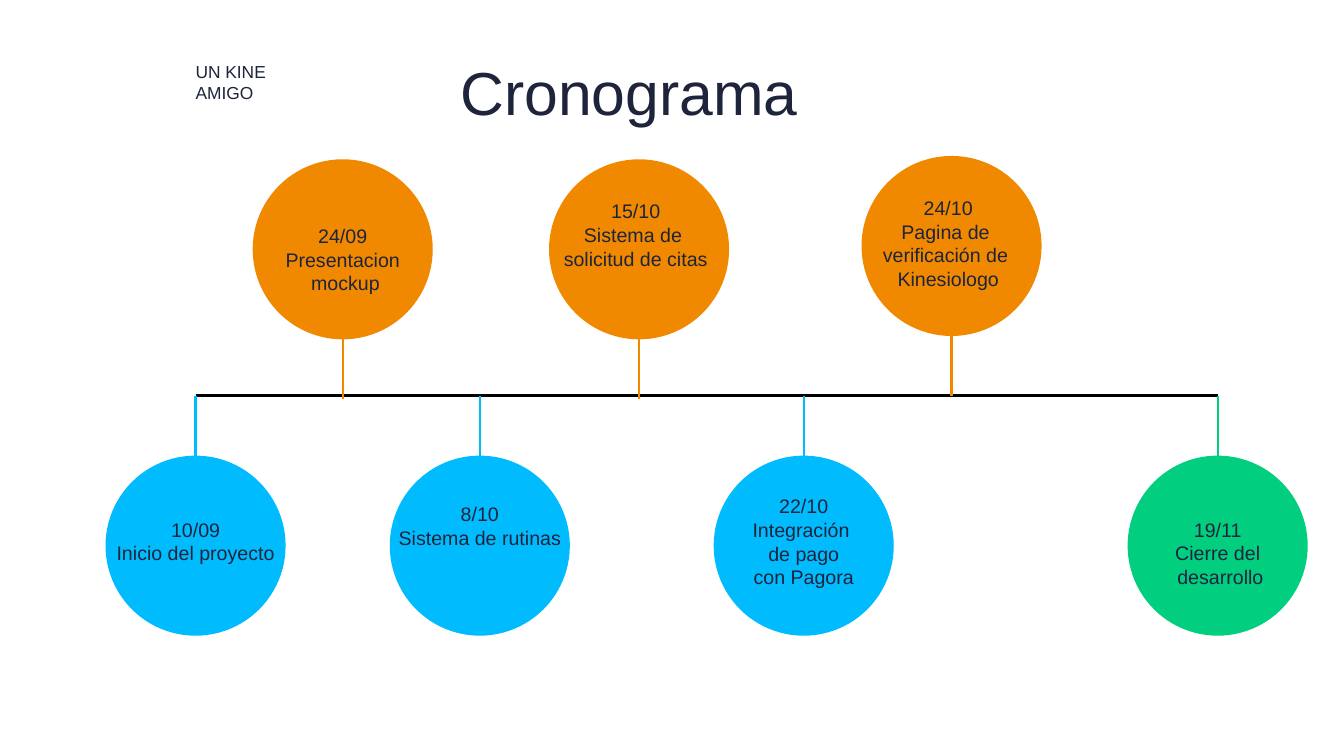
"""Build the project schedule slide: a time axis with milestones on both sides."""
from dataclasses import dataclass

from lxml.etree import SubElement
from pptx import Presentation
from pptx.dml.color import RGBColor
from pptx.enum.shapes import MSO_CONNECTOR, MSO_SHAPE
from pptx.enum.text import MSO_ANCHOR, MSO_AUTO_SIZE, PP_ALIGN
from pptx.oxml.ns import qn
from pptx.slide import Slide
from pptx.text.text import TextFrame
from pptx.util import Inches, Pt

INK = RGBColor(0x1D, 0x24, 0x3B)
BLACK = RGBColor(0x00, 0x00, 0x00)
ORANGE = RGBColor(0xF1, 0x89, 0x00)
BLUE = RGBColor(0x00, 0xBC, 0xFF)
GREEN = RGBColor(0x01, 0xCF, 0x7F)

COLUMNS, ROWS = 20, 11.25
WIDTH, HEIGHT = Inches(20), Inches(11.25)
AXIS_ROW = 5.89
AXIS_START, AXIS_END = 2.91, 18.12
DIAMETER = 2.68
STEM = 0.89
ABOVE, BELOW = -1, 1


@dataclass(frozen=True)
class Milestone:
    """A dated circle hanging from the axis, with its label's place."""

    lines: tuple[str, ...]
    column: float
    side: int
    color: RGBColor
    label_row: float
    label_width: float
    label_shift: float = 0
    foot_row: float = AXIS_ROW


MILESTONES = (
    Milestone(("10/09", "Inicio del proyecto"), AXIS_START, BELOW, BLUE, 7.7, 2.55),
    Milestone(("24/09", "Presentacion", " mockup"), 5.1, ABOVE, ORANGE, 3.33, 1.78,
              foot_row=5.94),
    Milestone(("8/10", "Sistema de rutinas"), 7.14, BELOW, BLUE, 7.47, 2.58),
    Milestone(("15/10", "Sistema de ", "solicitud de citas"), 9.51, ABOVE, ORANGE,
              2.96, 2.3, label_shift=-0.05, foot_row=5.94),
    Milestone(("22/10", "Integración ", "de pago", "con Pagora"), 11.96, BELOW, BLUE,
              7.35, 1.67),
    Milestone(("24/10", "Pagina de ", "verificación de ", "Kinesiologo"), 14.16, ABOVE,
              ORANGE, 2.91, 2.09, label_shift=-0.05),
    Milestone(("19/11", "Cierre del", " desarrollo"), AXIS_END, BELOW, GREEN, 7.7, 1.48),
)


def x(columns: float) -> int:
    """Turn grid columns into a length."""
    return round(WIDTH * columns / COLUMNS)


def y(rows: float) -> int:
    """Turn grid rows into a length."""
    return round(HEIGHT * rows / ROWS)


def write(frame: TextFrame, lines: tuple[str, ...], size: float, leading: float,
          align: PP_ALIGN = PP_ALIGN.LEFT) -> None:
    """Fill a frame with one paragraph per line."""
    frame.margin_left = frame.margin_right = frame.margin_top = frame.margin_bottom = 0
    frame.auto_size = MSO_AUTO_SIZE.NONE
    frame.vertical_anchor = MSO_ANCHOR.TOP
    frame.word_wrap = True
    frame.text = "\n".join(lines)
    for paragraph in frame.paragraphs:
        paragraph.alignment = align
        paragraph.line_spacing = Pt(leading)
        paragraph.space_before = Pt(0)
        paragraph.font.name = "Arial"
        paragraph.font.size = Pt(size)
        paragraph.font.color.rgb = INK


def add_text(slide: Slide, column: float, row: float, width: float, lines: tuple[str, ...],
             size: float, leading: float, align: PP_ALIGN = PP_ALIGN.LEFT) -> None:
    """Add a text box as tall as its lines."""
    height = Pt(leading) * len(lines)
    box = slide.shapes.add_textbox(x(column), y(row), x(width), height)
    write(box.text_frame, lines, size, leading, align)


def add_line(slide: Slide, start: tuple[float, float], end: tuple[float, float],
             color: RGBColor, weight: float) -> None:
    """Draw a straight line without shadow between two grid points."""
    line = slide.shapes.add_connector(
        MSO_CONNECTOR.STRAIGHT, x(start[0]), y(start[1]), x(end[0]), y(end[1]))
    line.line.color.rgb = color
    line.line.width = Pt(weight)
    SubElement(line._element.spPr, qn("a:effectLst"))


def add_milestone(slide: Slide, milestone: Milestone) -> None:
    """Draw a milestone's circle, stem and label."""
    column, foot = milestone.column, milestone.foot_row
    edge = foot + milestone.side * STEM
    center = edge + milestone.side * DIAMETER / 2
    circle = slide.shapes.add_shape(
        MSO_SHAPE.OVAL, x(column - DIAMETER / 2), y(center - DIAMETER / 2),
        x(DIAMETER), y(DIAMETER))
    circle.shadow.inherit = False
    circle.fill.solid()
    circle.fill.fore_color.rgb = milestone.color
    circle.line.fill.background()
    add_line(slide, (column, edge), (column, foot), milestone.color, 2.25)
    label_left = column + milestone.label_shift - milestone.label_width / 2
    add_text(slide, label_left, milestone.label_row, milestone.label_width,
             milestone.lines, 21, 25.4, PP_ALIGN.CENTER)


def main() -> None:
    """Build and save the slide."""
    deck = Presentation()
    deck.slide_width, deck.slide_height = WIDTH, HEIGHT
    slide = deck.slides.add_slide(deck.slide_layouts[5])
    title = slide.shapes.title
    title.left, title.top, title.width, title.height = x(6.85), y(0.86), x(6.3), y(1.11)
    write(title.text_frame, ("Cronograma",), 65, 74.8)
    add_text(slide, AXIS_START, 0.9, 2.03, ("UN KINE", "AMIGO"), 18.6, 22.6)
    add_line(slide, (AXIS_START, AXIS_ROW), (AXIS_END, AXIS_ROW), BLACK, 3)
    for milestone in MILESTONES:
        add_milestone(slide, milestone)
    deck.save("out.pptx")


if __name__ == "__main__":
    main()
